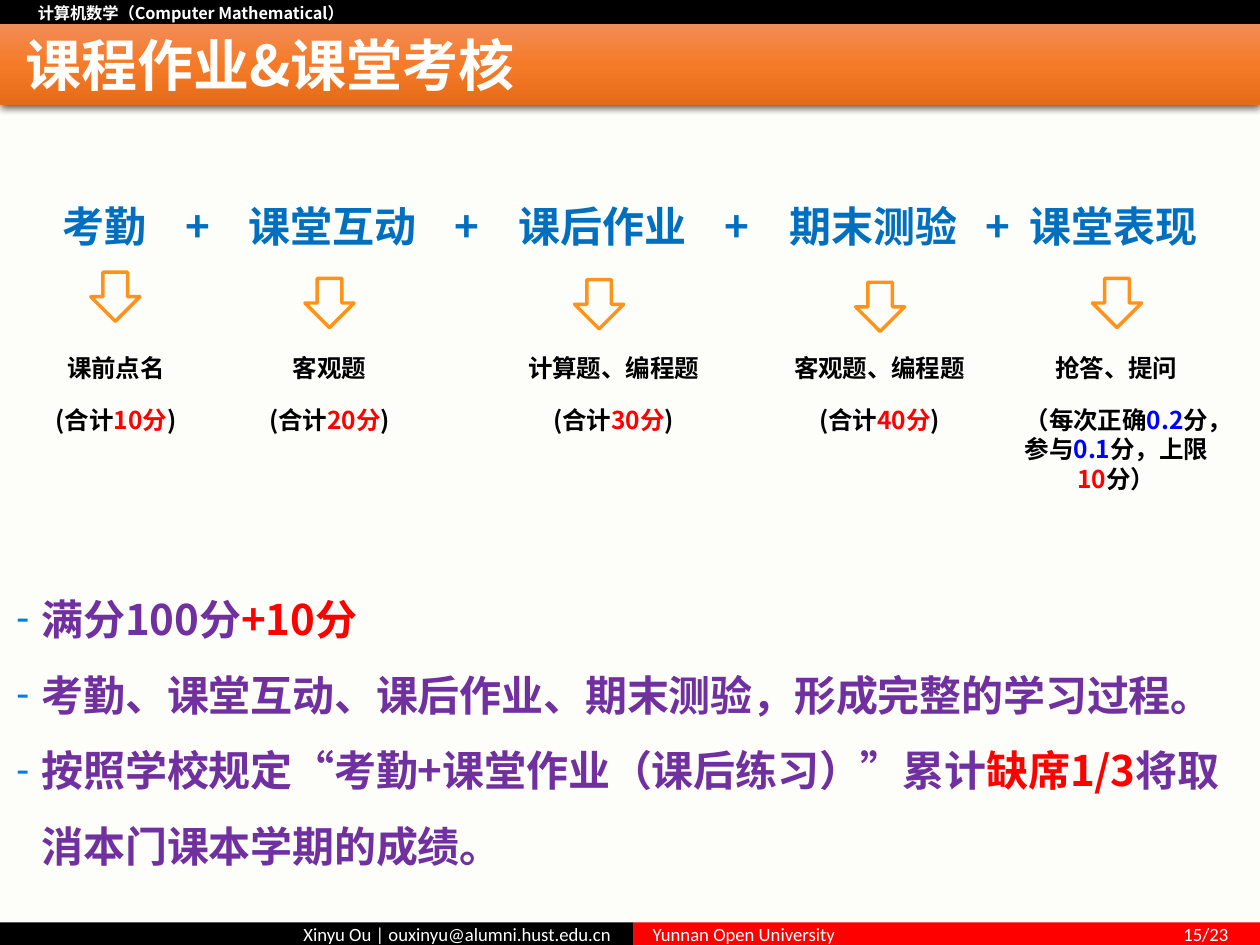
from lxml.etree import SubElement
from pptx import Presentation
from pptx.dml.color import RGBColor
from pptx.enum.shapes import MSO_SHAPE
from pptx.enum.text import MSO_ANCHOR, PP_ALIGN
from pptx.oxml import parse_xml
from pptx.oxml.ns import nsdecls, qn
from pptx.util import Inches, Pt

COLORS = {
    "page": "FDFDF9", "black": "000000", "white": "FFFFFF", "red": "FF0000",
    "blue": "0000FF", "heading": "006FC0", "purple": "7030A0",
    "bullet": "007EDE", "arrow": "FF921A",
    "bar_top": "F18C57", "bar_mid": "F67B28", "bar_end": "E56C19",
}
CJK, LATIN = "Noto Sans CJK SC", "Calibri"


def rgb(name):
    return RGBColor.from_string(COLORS[name])


class Deck:
    """Holds the presentation, its style and the current slide."""

    def __init__(self):
        self.prs = Presentation()
        self.prs.slide_width, self.prs.slide_height = Inches(10), Inches(7.5)
        self.s = self.prs.slides.add_slide(self.prs.slide_layouts[6])
        fill = self.s.background.fill
        fill.solid()
        fill.fore_color.rgb = rgb("page")

    def rect(self, x, y, w, h, color):
        sp = self.s.shapes.add_shape(MSO_SHAPE.RECTANGLE, Inches(x), Inches(y), Inches(w), Inches(h))
        sp.shadow.inherit = False
        sp.fill.solid()
        sp.fill.fore_color.rgb = rgb(color)
        sp.line.fill.background()
        return sp

    def title_bar(self, x, y, w, h):
        sp = self.rect(x, y, w, h, "bar_mid")
        stops = "".join(
            f'<a:gs pos="{pos}"><a:srgbClr val="{COLORS[name]}"/></a:gs>'
            for pos, name in ((0, "bar_top"), (50000, "bar_mid"), (100000, "bar_end")))
        pr = sp._element.spPr
        pr.replace(pr.find(qn("a:solidFill")), parse_xml(
            f'<a:gradFill {nsdecls("a")} rotWithShape="1"><a:gsLst>{stops}</a:gsLst>'
            '<a:lin ang="5400000" scaled="0"/></a:gradFill>'))
        pr.replace(pr.find(qn("a:effectLst")), parse_xml(
            f'<a:effectLst {nsdecls("a")}><a:outerShdw blurRad="{Pt(4.5)}" dist="{Pt(1.5)}" '
            'dir="5400000" rotWithShape="0"><a:srgbClr val="000000"><a:alpha val="63000"/>'
            '</a:srgbClr></a:outerShdw></a:effectLst>'))

    def arrow(self, x, y, size=0.39):
        sp = self.s.shapes.add_shape(MSO_SHAPE.DOWN_ARROW, Inches(x), Inches(y), Inches(size), Inches(size))
        sp.shadow.inherit = False
        sp.fill.background()
        sp.line.color.rgb = rgb("arrow")
        sp.line.width = Pt(1.98)

    def frame(self, sp, insets=(0, 0, 0, 0), anchor=MSO_ANCHOR.TOP):
        tf = sp.text_frame
        tf.word_wrap = True
        tf.vertical_anchor = anchor
        tf.margin_left, tf.margin_top, tf.margin_right, tf.margin_bottom = map(Inches, insets)
        return tf

    def box(self, x, y, w, h, insets=(0, 0, 0, 0), anchor=MSO_ANCHOR.TOP):
        sp = self.s.shapes.add_textbox(Inches(x), Inches(y), Inches(w), Inches(h))
        return self.frame(sp, insets, anchor)

    def para(self, tf, runs, size, font=CJK, bold=True, align=PP_ALIGN.LEFT,
             first=True, before=0, spc=None):
        p = tf.paragraphs[0] if first else tf.add_paragraph()
        p.alignment = align
        if before and not first:
            p.space_before = Pt(before)
        for text, color in runs:
            r = p.add_run()
            r.text = text
            r.font.size, r.font.bold, r.font.name = Pt(size), bold, font
            r.font.color.rgb = rgb(color)
            rpr = r._r.get_or_add_rPr()
            SubElement(rpr, qn("a:ea")).set("typeface", font)
            if spc is not None:
                rpr.set("spc", str(spc))
        return p

    def tabs(self, p, stops, align):
        lst = SubElement(p._p.get_or_add_pPr(), qn("a:tabLst"))
        for pos in stops:
            tab = SubElement(lst, qn("a:tab"))
            tab.set("pos", str(Inches(pos)))
            tab.set("algn", align)

    def dash(self, p):
        ppr = p._p.get_or_add_pPr()
        ppr.set("marL", str(Inches(0.22)))
        ppr.set("indent", str(Inches(-0.2)))
        clr = SubElement(ppr, qn("a:buClr"))
        SubElement(clr, qn("a:srgbClr")).set("val", COLORS["bullet"])
        SubElement(ppr, qn("a:buFont")).set("typeface", LATIN)
        SubElement(ppr, qn("a:buChar")).set("char", "-")
        p.line_spacing = 1.5


def total(points):
    return [("(合计", "black"), (points, "red"), (")", "black")]


def main():
    deck = Deck()

    # Course strip, footer and title bar
    tf = deck.frame(deck.rect(0, 0, 10, 0.21, "black"), (0.3, 0.04, 0.15, 0.04), MSO_ANCHOR.MIDDLE)
    deck.para(tf, [("计算机数学（Computer Mathematical）", "white")], 9.3)
    tf = deck.frame(deck.rect(0, 7.32, 5.03, 0.18, "black"), (0.15, 0, 0.18, 0), MSO_ANCHOR.MIDDLE)
    deck.para(tf, [("Xinyu Ou | ouxinyu@alumni.hust.edu.cn", "white")], 10.7, LATIN, False, PP_ALIGN.RIGHT)
    tf = deck.frame(deck.rect(5.03, 7.32, 4.97, 0.18, "red"), (0.15, 0, 0.15, 0), MSO_ANCHOR.MIDDLE)
    p = deck.para(tf, [("Yunnan Open University\t15/23", "white")], 10.7, LATIN, False)
    deck.tabs(p, [4.57], "r")
    deck.title_bar(0, 0.19, 10, 0.64)
    tf = deck.box(0, 0.24, 10, 0.54, (0.2, 0, 0, 0), MSO_ANCHOR.MIDDLE)
    deck.para(tf, [("课程作业&课堂考核", "white")], 32)

    # Sum of the grade parts, each centred on a tab stop
    left = 0.5
    centres = [1.57, 2.64, 3.71, 4.78, 5.85, 6.93, 7.92, 8.84]
    parts = ["考勤", "课堂互动", "课后作业", "期末测验", "课堂表现"]
    tf = deck.box(0, 1.58, 10, 0.42, (left, 0.01, 0, 0))
    p = deck.para(tf, [("\t+\t".join(parts), "heading")], 24)
    deck.tabs(p, [c - left for c in centres], "ctr")

    # Arrow and explanation under each part
    bonus = [("（每次正确", "black"), ("0.2", "blue"), ("分，参与", "black"), ("0.1", "blue"),
             ("分，上限", "black"), ("10", "red"), ("分）", "black")]
    columns = [  # arrow x, arrow y, text x, width, height, kind, score
        (0.72, 2.16, 0.38, 1.08, 0.82, "课前点名", total("10分")),
        (2.42, 2.21, 1.7, 1.83, 0.84, "客观题", total("20分")),
        (4.56, 2.22, 3.99, 1.76, 0.84, "计算题、编程题", total("30分")),
        (6.79, 2.24, 6.22, 1.52, 0.84, "客观题、编程题", total("40分")),
        (8.67, 2.21, 8.1, 1.52, 1.31, "抢答、提问", bonus),
    ]
    for ax, ay, x, w, h, kind, score in columns:
        deck.arrow(ax, ay)
        tf = deck.box(x, 2.62, w, h, (0, 0.18, 0, 0))
        for i, runs in enumerate(([(kind, "black")], score)):
            deck.para(tf, runs, 14, align=PP_ALIGN.CENTER, first=i == 0, before=13, spc=-10)

    # Rules
    rules = [
        [("满分100分", "purple"), ("+10分", "red")],
        [("考勤、课堂互动、课后作业、期末测验，形成完整的学习过程。", "purple")],
        [("按照学校规定“考勤+课堂作业（课后练习）”累计", "purple"), ("缺席1/3", "red"),
         ("将取消本门课本学期的成绩。", "purple")],
    ]
    tf = deck.box(0.11, 4.5, 9.78, 2.37, (0, 0.01, 0, 0))
    for i, runs in enumerate(rules):
        deck.dash(deck.para(tf, runs, 24, first=i == 0, spc=-10))

    deck.prs.save("out.pptx")


if __name__ == "__main__":
    main()
